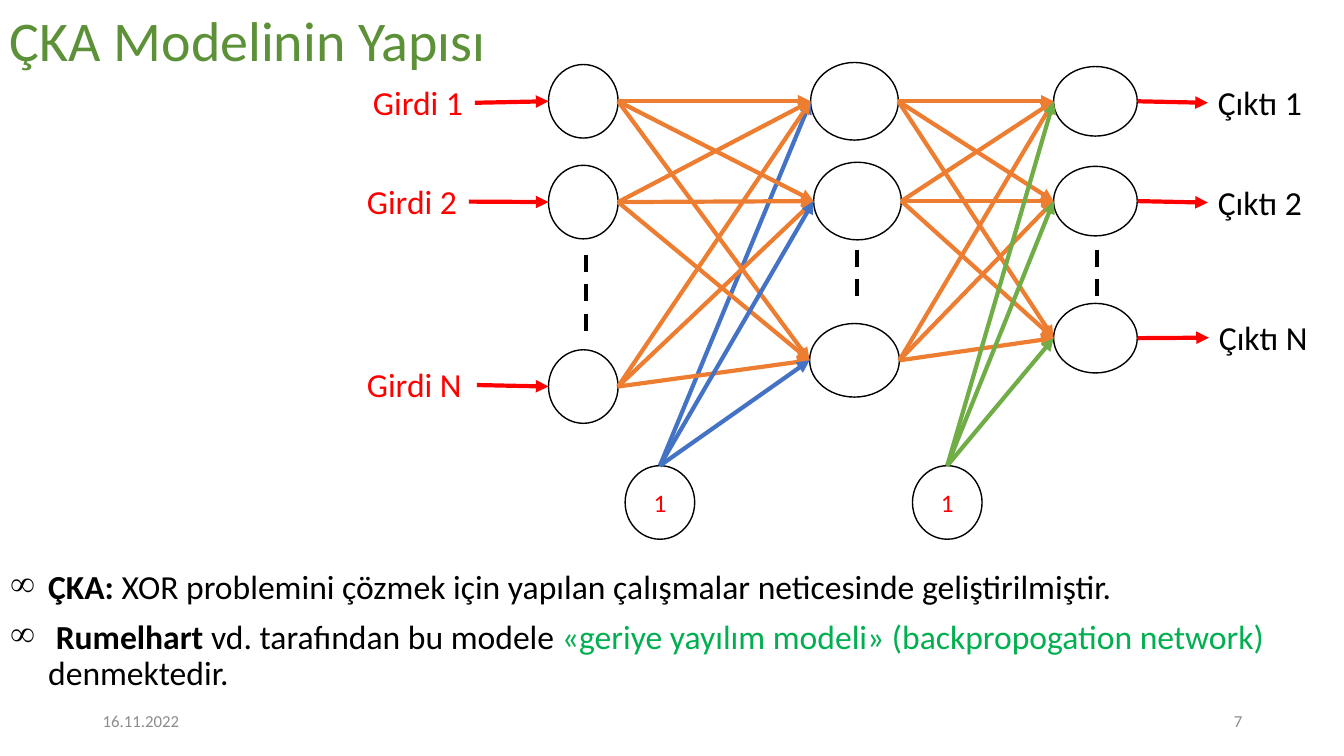
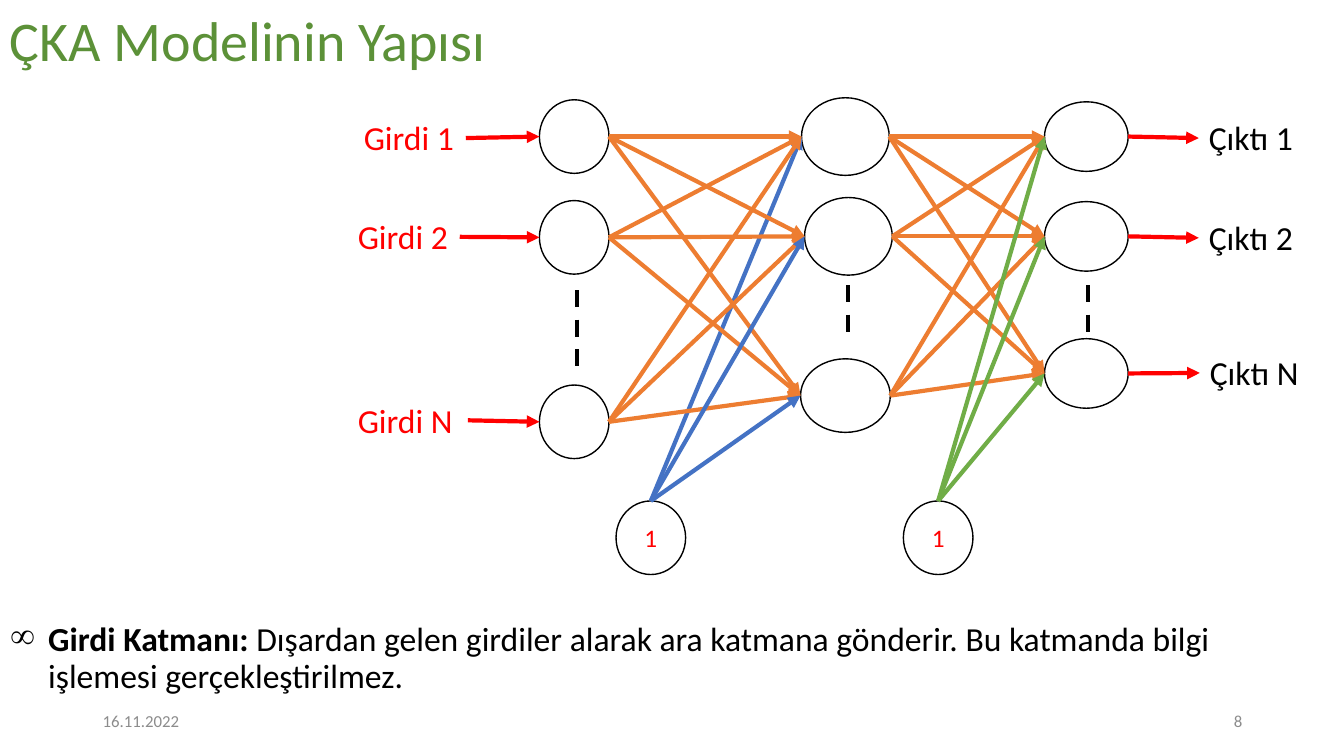
from dataclasses import dataclass
from itertools import product

from lxml.etree import SubElement
from pptx import Presentation
from pptx.dml.color import RGBColor
from pptx.enum.dml import MSO_LINE
from pptx.enum.shapes import MSO_CONNECTOR, MSO_SHAPE
from pptx.enum.text import MSO_ANCHOR, PP_ALIGN
from pptx.oxml.ns import qn
from pptx.util import Inches, Pt


@dataclass(frozen=True)
class Theme:
    font: str = "Calibri"
    title: str = "5C9138"
    footer: str = "8C8C8C"
    ink: str = "000000"
    signal: str = "FF0000"
    weight: str = "ED7D31"
    hidden_bias: str = "4472C4"
    output_bias: str = "70AD47"
    accent: str = "00B050"
    title_size: int = 40
    body_size: int = 24
    bias_size: int = 18
    footer_size: int = 12
    spacing: float = 0.9
    outline: int = 1
    arrow: int = 3


T = Theme()


@dataclass(frozen=True)
class Box:
    x: float
    y: float
    w: float
    h: float

    @property
    def left(self):
        return self.x, self.y + self.h / 2

    @property
    def right(self):
        return self.x + self.w, self.y + self.h / 2

    @property
    def top(self):
        return self.x + self.w / 2, self.y

    def lengths(self):
        return [Inches(v) for v in (self.x, self.y, self.w, self.h)]


def rgb(color):
    return RGBColor.from_string(color)


def add_run(p, text, size, color, bold=False):
    r = p.add_run()
    r.text = text
    r.font.name, r.font.size, r.font.bold = T.font, Pt(size), bold
    r.font.color.rgb = rgb(color)


def add_frame(s, box, anchor=MSO_ANCHOR.TOP):
    tf = s.shapes.add_textbox(*box.lengths()).text_frame
    tf.word_wrap = True
    tf.vertical_anchor = anchor
    return tf


def add_label(s, box, text, size, color, anchor=MSO_ANCHOR.TOP,
              align=PP_ALIGN.LEFT, spacing=T.spacing):
    p = add_frame(s, box, anchor).paragraphs[0]
    p.alignment, p.line_spacing = align, spacing
    add_run(p, text, size, color)


def add_line(s, start, end, color):
    line = s.shapes.add_connector(
        MSO_CONNECTOR.STRAIGHT, *[Inches(v) for v in start + end])
    line.line.color.rgb = rgb(color)
    line.line.width = Pt(T.arrow)
    SubElement(line._element.spPr, qn("a:effectLst"))
    return line


def add_arrow(s, start, end, color):
    ln = add_line(s, start, end, color).line._get_or_add_ln()
    SubElement(ln, qn("a:tailEnd"), type="triangle")


def add_neuron(s, box, text=None):
    sp = s.shapes.add_shape(MSO_SHAPE.OVAL, *box.lengths())
    sp.shadow.inherit = False
    sp.fill.background()
    sp.line.color.rgb = rgb(T.ink)
    sp.line.width = Pt(T.outline)
    if text:
        tf = sp.text_frame
        tf.vertical_anchor = MSO_ANCHOR.MIDDLE
        p = tf.paragraphs[0]
        p.alignment = PP_ALIGN.CENTER
        add_run(p, text, T.bias_size, T.signal)


def add_network(s, x, y):
    """Draw the three-layer network with its top left corner at x, y."""
    def at(dx, dy, w, h):
        return Box(x + dx, y + dy, w, h)

    inputs = [at(1.9, dy, 0.69, 0.73) for dy in (0.02, 1.02, 2.85)]
    hidden = [at(4.5, 0, 0.87, 0.77), at(4.53, 0.99, 0.87, 0.77),
              at(4.49, 2.59, 0.89, 0.73)]
    outputs = [at(6.91, dy, 0.83, 0.69) for dy in (0.04, 1.03, 2.39)]
    biases = [at(dx, 4, 0.69, 0.73) for dx in (2.66, 5.51)]
    input_labels = [at(0.06, 0.19, 1.11, 0.42), at(0, 1.17, 1.11, 0.42),
                    at(0, 2.99, 1.19, 0.42)]
    output_labels = [at(8.44, 0.19, 1.11, 0.42), at(8.44, 1.18, 1.11, 0.42),
                     at(8.45, 2.52, 1.11, 0.42)]

    for node in inputs + hidden + outputs:
        add_neuron(s, node)
    for bias in biases:
        add_neuron(s, bias, "1")

    for mark, label, node in zip("12N", input_labels, inputs):
        add_label(s, label, f"Girdi {mark}", T.body_size, T.signal)
        add_arrow(s, label.right, node.left, T.signal)
    for mark, label, node in zip("12N", output_labels, outputs):
        add_label(s, label, f"Çıktı {mark}", T.body_size, T.ink)
        add_arrow(s, node.right, label.left, T.signal)

    add_arrow(s, biases[0].top, hidden[0].left, T.hidden_bias)
    for source, target in [*product(inputs, hidden), *product(hidden, outputs)]:
        add_arrow(s, source.right, target.left, T.weight)
    for node in hidden[1:]:
        add_arrow(s, biases[0].top, node.left, T.hidden_bias)
    for node in outputs:
        add_arrow(s, biases[1].top, node.left, T.output_bias)

    for dx, top, bottom in ((2.27, 1.91, 2.78), (4.96, 1.86, 2.39), (7.34, 1.86, 2.39)):
        gap = add_line(s, (x + dx, y + top), (x + dx, y + bottom), T.ink)
        gap.line.dash_style = MSO_LINE.DASH


def add_bullets(s, box, items):
    """Each item is a list of (text, color, bold) runs."""
    tf = add_frame(s, box)
    for i, runs in enumerate(items):
        p = tf.add_paragraph() if i else tf.paragraphs[0]
        p.line_spacing = T.spacing
        if i:
            p.space_before = Pt(10)
        pPr = p._p.get_or_add_pPr()
        pPr.set("marL", str(Inches(0.38)))
        pPr.set("indent", str(Inches(-0.38)))
        SubElement(pPr, qn("a:buChar"), char="∞")
        for text, color, bold in runs:
            add_run(p, text, T.body_size, color, bold)


def add_footer(s, number):
    for x, text, align in ((0.92, "16.11.2022", PP_ALIGN.LEFT),
                           (9.42, str(number), PP_ALIGN.RIGHT)):
        add_label(s, Box(x, 6.95, 3, 0.4), text, T.footer_size, T.footer,
                  MSO_ANCHOR.MIDDLE, align, 1.0)


def add_network_slide(prs, number, origin, text_top, items):
    s = prs.slides.add_slide(prs.slide_layouts[6])
    add_label(s, Box(0, 0, 8.97, 0.78), "ÇKA Modelinin Yapısı",
              T.title_size, T.title, MSO_ANCHOR.BOTTOM)
    add_footer(s, number)
    add_network(s, *origin)
    add_bullets(s, Box(0, text_top, 12.7, 0.83), items)


def main():
    prs = Presentation()
    prs.slide_width, prs.slide_height = Inches(13.33), Inches(7.5)
    add_network_slide(prs, 7, (3.54, 0.62), 5.61, [
        [("ÇKA: ", T.ink, True),
         ("XOR problemini çözmek için yapılan çalışmalar neticesinde "
          "geliştirilmiştir.", T.ink, False)],
        [(" Rumelhart ", T.ink, True),
         ("vd. tarafından bu modele ", T.ink, False),
         ("«geriye yayılım modeli» (backpropogation network) ", T.accent, False),
         ("denmektedir.", T.ink, False)],
    ])
    add_network_slide(prs, 8, (3.45, 0.97), 6.13, [
        [("Girdi Katmanı: ", T.ink, True),
         ("Dışardan gelen girdiler alarak ara katmana gönderir. Bu katmanda "
          "bilgi işlemesi gerçekleştirilmez.", T.ink, False)],
    ])
    prs.save("out.pptx")


if __name__ == "__main__":
    main()
